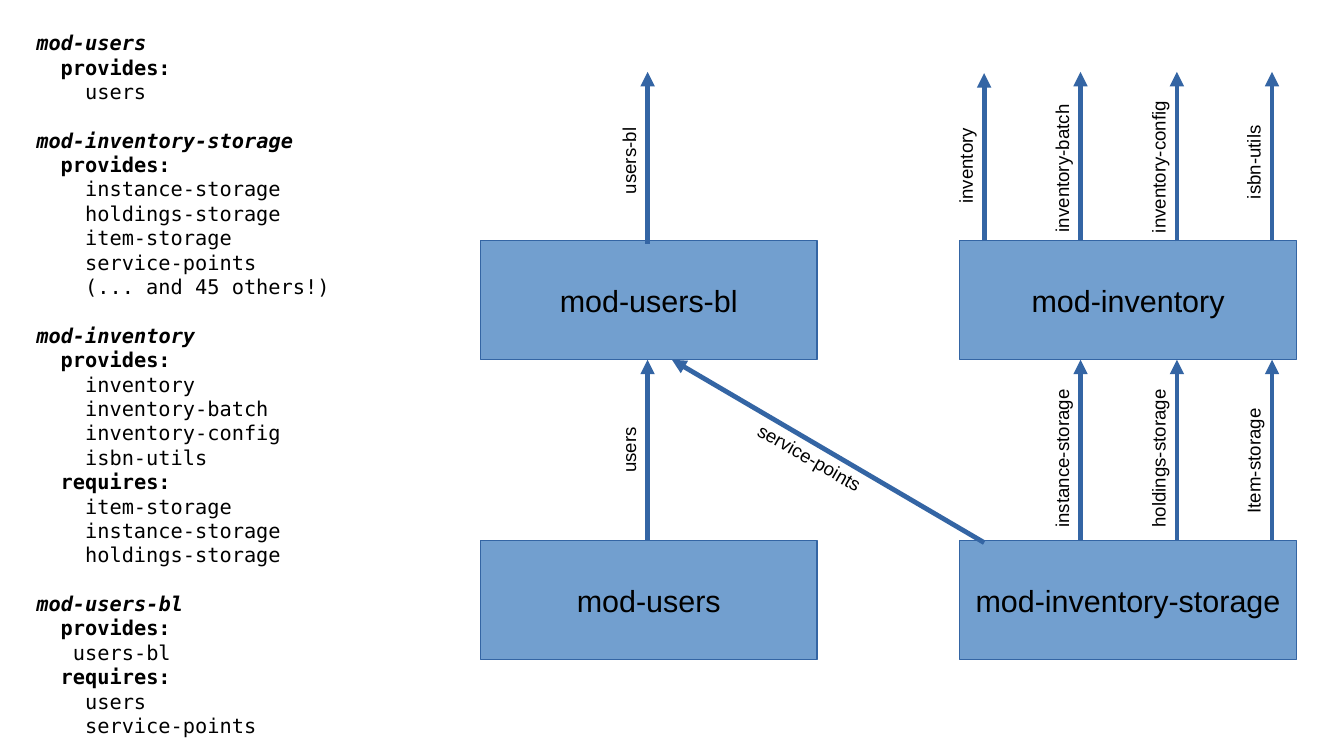
from pptx import Presentation
from pptx.dml.color import RGBColor
from pptx.enum.shapes import MSO_CONNECTOR, MSO_SHAPE
from pptx.enum.text import MSO_ANCHOR, MSO_AUTO_SIZE, PP_ALIGN
from pptx.oxml.ns import qn
from pptx.util import Inches, Pt
from lxml import etree

RECT = MSO_SHAPE.RECTANGLE
STRAIGHT = MSO_CONNECTOR.STRAIGHT
MIDDLE = MSO_ANCHOR.MIDDLE
GROW = MSO_AUTO_SIZE.SHAPE_TO_FIT_TEXT
LEFT, CENTER = PP_ALIGN.LEFT, PP_ALIGN.CENTER

BLUE, EDGE, BLACK = "729FCF", "3465A4", "000000"
SANS, MONO = "Arial", "DejaVu Sans Mono"


def color(hex_string):
    return RGBColor.from_string(hex_string)


def write(paragraph, text, size, font=SANS, bold=False, italic=False,
          align=LEFT, indent=0, before=0):
    run = paragraph.add_run()
    run.text = text
    run.font.name, run.font.size = font, Pt(size)
    run.font.bold, run.font.italic = bold, italic
    run.font.color.rgb = color(BLACK)
    paragraph.alignment = align
    paragraph.space_before = Pt(before)
    properties = paragraph._p.get_or_add_pPr()
    properties.set("marL", str(Inches(indent)))
    properties.set("indent", "0")


prs = Presentation()
prs.slide_width, prs.slide_height = Inches(11.02), Inches(6.2)
slide = prs.slides.add_slide(prs.slide_layouts[6])

# Module descriptions: module, then (heading, indent of its items, items)
modules = [
    ("mod-users", [("provides:", 0.4, ["users"])]),
    ("mod-inventory-storage", [
        ("provides:", 0.4, ["instance-storage", "holdings-storage", "item-storage",
                            "service-points", "(... and 45 others!)"])]),
    ("mod-inventory", [
        ("provides:", 0.4, ["inventory", "inventory-batch", "inventory-config",
                            "isbn-utils"]),
        ("requires:", 0.4, ["item-storage", "instance-storage", "holdings-storage"])]),
    ("mod-users-bl", [
        ("provides:", 0.3, ["users-bl"]),
        ("requires:", 0.4, ["users", "service-points"])]),
]
listing = slide.shapes.add_textbox(Inches(0.2), Inches(0.2), Inches(2.76), Inches(5.76))
frame = listing.text_frame
frame.word_wrap = True
frame.auto_size = GROW
for number, (module, sections) in enumerate(modules):
    heading = frame.add_paragraph() if number else frame.paragraphs[0]
    write(heading, module, 12, font=MONO, bold=True, italic=True,
          before=14.4 if number else 0)
    for section, indent, interfaces in sections:
        write(frame.add_paragraph(), section, 12, font=MONO, bold=True, indent=0.2)
        for interface in interfaces:
            write(frame.add_paragraph(), interface, 12, font=MONO, indent=indent)

# Module boxes
USERS_X, INVENTORY_X = 3.94, 7.87
UPPER_Y, LOWER_Y = 1.97, 4.43
for module, x, y in [("mod-inventory-storage", INVENTORY_X, LOWER_Y),
                     ("mod-inventory", INVENTORY_X, UPPER_Y),
                     ("mod-users-bl", USERS_X, UPPER_Y),
                     ("mod-users", USERS_X, LOWER_Y)]:
    box = slide.shapes.add_shape(RECT, Inches(x), Inches(y), Inches(2.76), Inches(0.98))
    box.shadow.inherit = False
    box.fill.solid()
    box.fill.fore_color.rgb = color(BLUE)
    box.line.color.rgb = color(EDGE)
    box.line.width = Pt(0)
    box.text_frame.word_wrap = True
    box.text_frame.vertical_anchor = MIDDLE
    write(box.text_frame.paragraphs[0], module, 18, align=CENTER)

# Interfaces: name, arrow from x, y to x, y, label centre x, y, width, height, rotation
UPPER_END, LOWER_END = 0.59, 2.95
interfaces = [("service-points", 8.07, 4.45, 5.51, LOWER_END, 6.6, 3.82, 1.14, 0.44, 30)]
for name, x, start, end, label_y, width in [
        ("users", 5.31, LOWER_Y, LOWER_END, 3.69, 0.57),
        ("instance-storage", 8.86, LOWER_Y, LOWER_END, 3.76, 1.33),
        ("holdings-storage", 9.65, LOWER_Y, LOWER_END, 3.76, 1.33),
        ("Item-storage", 10.43, LOWER_Y, LOWER_END, 3.78, 1.06),
        ("users-bl", 5.31, 2, UPPER_END, 1.32, 0.74),
        ("inventory", 8.07, 1.98, 0.6, 1.36, 0.82),
        ("inventory-batch", 8.86, UPPER_Y, UPPER_END, 1.38, 1.25),
        ("inventory-config", 9.65, 1.98, UPPER_END, 1.37, 1.28),
        ("isbn-utils", 10.43, 1.98, UPPER_END, 1.33, 0.8)]:
    interfaces.append((name, x, start, x, end, x - 0.16, label_y, width, 0.27, 270))

for name, x1, y1, x2, y2, label_x, label_y, width, height, rotation in interfaces:
    arrow = slide.shapes.add_connector(STRAIGHT, Inches(x1), Inches(y1),
                                       Inches(x2), Inches(y2))
    arrow.line.color.rgb = color(EDGE)
    arrow.line.width = Pt(2.83)
    etree.SubElement(arrow.line._get_or_add_ln(), qn("a:tailEnd"), type="triangle")
    etree.SubElement(arrow._element.spPr, qn("a:effectLst"))

    label = slide.shapes.add_textbox(Inches(label_x - width / 2), Inches(label_y - height / 2),
                                     Inches(width), Inches(height))
    label.rotation = rotation
    # Without side margins each name stays on one line
    label.text_frame.margin_left = label.text_frame.margin_right = 0
    label.text_frame.word_wrap = True
    write(label.text_frame.paragraphs[0], name, 11, align=CENTER)

prs.save("out.pptx")
